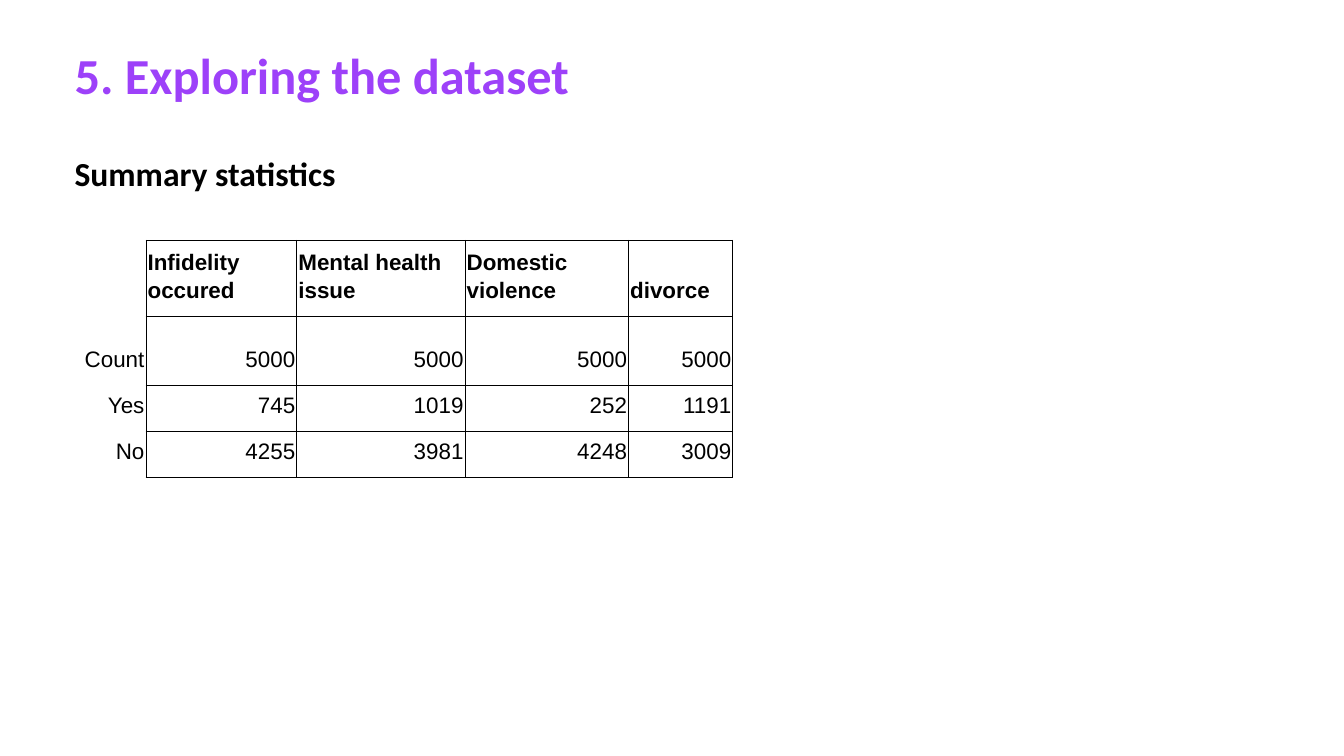
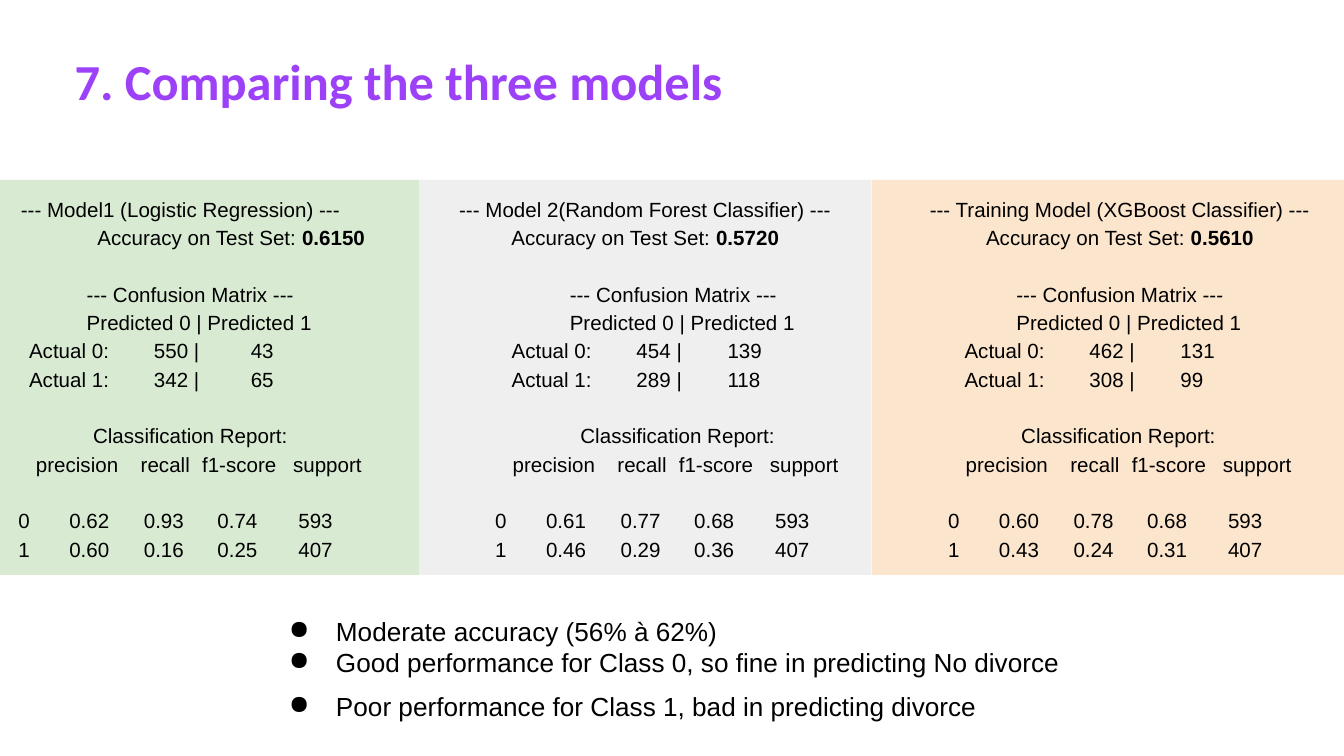
from lxml import etree
from pptx import Presentation
from pptx.dml.color import RGBColor
from pptx.enum.shapes import MSO_SHAPE
from pptx.enum.text import MSO_ANCHOR, PP_ALIGN
from pptx.oxml.ns import qn
from pptx.util import Cm, Pt

LEFT, CENTER, RIGHT = PP_ALIGN.LEFT, PP_ALIGN.CENTER, PP_ALIGN.RIGHT
TOP, BOTTOM = MSO_ANCHOR.TOP, MSO_ANCHOR.BOTTOM
RECT = MSO_SHAPE.RECTANGLE
COLORS = {"title": "9D41F9", "text": "000000", "green": "D9EAD3",
          "grey": "EFEFEF", "orange": "FCE5CD"}


def write(tf, text, size=11, font="Arial", color="text", bold=False, bold_tail="",
          align=LEFT, spacing=1.0, before=0, indent=0, bullet=None, tabs=()):
    p = tf.paragraphs[0]
    if p.runs:
        p = tf.add_paragraph()
    p.alignment = align
    p.line_spacing = spacing
    p.space_before = Pt(before)
    pPr = p._p.get_or_add_pPr()
    if indent:
        pPr.set("marL", str(Cm(indent)))
    if bullet:
        pPr.set("indent", str(Cm(-0.89)))
        clr = etree.SubElement(pPr, qn("a:buClr"))
        etree.SubElement(clr, qn("a:srgbClr"), val=COLORS[color])
        etree.SubElement(pPr, qn("a:buChar"), char=bullet)
    if tabs:
        tab_list = etree.SubElement(pPr, qn("a:tabLst"))
        for pos in tabs:
            etree.SubElement(tab_list, qn("a:tab"), pos=str(Cm(pos)), algn="l")
    for part, heavy in ((text, bold), (bold_tail, True)):
        if part:
            r = p.add_run()
            r.text = part
            r.font.size = Pt(size)
            r.font.name = font
            r.font.bold = heavy
            r.font.color.rgb = RGBColor.from_string(COLORS[color])


def frame(sp, side, top):
    tf = sp.text_frame
    tf.word_wrap = True
    tf.vertical_anchor = TOP
    tf.margin_left = tf.margin_right = Cm(side)
    tf.margin_top = tf.margin_bottom = Cm(top)
    return tf


prs = Presentation()
prs.slide_width, prs.slide_height = Cm(25.4), Cm(14.29)

slides = []
for title, top, width, height in (
    ("5. Exploring the dataset", 0.97, 11.6, 1.65),
    ("7. Comparing the three models", 1.07, 16.92, 1.9),
):
    s = prs.slides.add_slide(prs.slide_layouts[6])
    sp = s.shapes.add_textbox(Cm(1.22), Cm(top), Cm(width), Cm(height))
    write(frame(sp, 0.19, 0), title, size=27, font="Calibri", color="title",
          bold=True, spacing=0.9)
    slides.append(s)
summary, comparison = slides

sp = summary.shapes.add_textbox(Cm(1.22), Cm(2.8), Cm(7.44), Cm(0.97))
write(frame(sp, 0.19, 0.1), "Summary statistics", size=18, font="Calibri", bold=True)

rows = [
    ("", "Infidelity occured", "Mental health issue", "Domestic violence", "divorce"),
    ("Count", "5000", "5000", "5000", "5000"),
    ("Yes", "745", "1019", "252", "1191"),
    ("No", "4255", "3981", "4248", "3009"),
]
col_widths = (1.32, 2.85, 3.18, 3.09, 1.97)
row_heights = (1, 1.3, 0.79, 0.79)
table = summary.shapes.add_table(4, 5, Cm(1.44), Cm(4.54), Cm(sum(col_widths)),
                                 Cm(sum(row_heights))).table
table.first_row = table.horz_banding = False
for col, width in zip(table.columns, col_widths):
    col.width = Cm(width)
for row, height in zip(table.rows, row_heights):
    row.height = Cm(height)
for i, row in enumerate(rows):
    for j, text in enumerate(row):
        cell = table.cell(i, j)
        cell.vertical_anchor = BOTTOM
        cell.margin_left = cell.margin_right = cell.margin_top = Cm(0.03)
        cell.margin_bottom = Cm(0.25)
        tcPr = cell._tc.get_or_add_tcPr()
        for side in ("lnL", "lnR", "lnT", "lnB"):
            ln = etree.SubElement(tcPr, qn(f"a:{side}"), w=str(Pt(0.5)))
            if j or side == "lnR":
                fill = etree.SubElement(ln, qn("a:solidFill"))
                etree.SubElement(fill, qn("a:srgbClr"), val=COLORS["text"])
            else:
                etree.SubElement(ln, qn("a:noFill"))
        cell.fill.background()
        if text:
            write(cell.text_frame, text, size=12, bold=i == 0,
                  align=RIGHT if i else LEFT, spacing=1.15)

LINE = 15.2
HEAD_TABS = (1.52, 3.5, 4.66, 6.38)
SCORE_TABS = (1.19, 2.15, 3.56, 4.95, 6.48)
models = [
    dict(left=7.92, width=8.55, fill="grey", accuracy="0.5720", accuracy_indent=0,
         name="--- Model 2(Random Forest Classifier) ---",
         matrix_tab=2.6, report_tab=2.8, count_tabs=(1.5, 3.86, 5.58),
         counts=((454, 139), (289, 118)),
         scores=(("0.61", "0.77", "0.68"), ("0.46", "0.29", "0.36"))),
    dict(left=-1.09, width=9.01, fill="green", accuracy="0.6150", accuracy_indent=1.91,
         name="--- Model1 (Logistic Regression) ---",
         matrix_tab=2.48, report_tab=2.6, count_tabs=(1.39, 3.75, 5.58),
         counts=((550, 43), (342, 65)),
         scores=(("0.62", "0.93", "0.74"), ("0.60", "0.16", "0.25"))),
    dict(left=16.48, width=9.37, fill="orange", accuracy="0.5610", accuracy_indent=0,
         name="--- Training Model (XGBoost Classifier) ---",
         matrix_tab=2.48, report_tab=2.57, count_tabs=(1.5, 3.86, 5.58),
         counts=((462, 131), (308, 99)),
         scores=(("0.60", "0.78", "0.68"), ("0.43", "0.24", "0.31"))),
]
for m in models:
    sp = comparison.shapes.add_shape(RECT, Cm(m["left"]), Cm(3.4), Cm(m["width"]), Cm(7.47))
    sp.shadow.inherit = False
    sp.fill.solid()
    sp.fill.fore_color.rgb = RGBColor.from_string(COLORS[m["fill"]])
    sp.line.fill.background()
    tf = frame(sp, 0.25, 0.25)
    write(tf, m["name"], align=CENTER, spacing=1.15)
    write(tf, "Accuracy on Test Set: ", bold_tail=m["accuracy"], align=CENTER,
          spacing=1.15, indent=m["accuracy_indent"])
    lines = [("\t--- Confusion Matrix ---", (m["matrix_tab"],), LINE),
             ("\tPredicted 0 | Predicted 1", (m["matrix_tab"],), 0)]
    for k, (no, yes) in enumerate(m["counts"]):
        lines.append((f"\tActual {k}:\t{no} |\t{yes}", m["count_tabs"], 0))
    lines.append(("\tClassification Report:", (m["report_tab"],), LINE))
    lines.append(("\tprecision\trecall\tf1-score\tsupport", HEAD_TABS, 0))
    for k, (scores, support) in enumerate(zip(m["scores"], ("593", "407"))):
        text = "\t" + "\t".join((str(k), *scores, support))
        lines.append((text, SCORE_TABS, 0 if k else LINE))
    for text, tabs, before in lines:
        write(tf, text, spacing=1.15, before=before, tabs=tabs)

sp = comparison.shapes.add_textbox(Cm(4.83), Cm(11.38), Cm(16.31), Cm(2.57))
tf = frame(sp, 0.25, 0.25)
for text, before in (
    ("Moderate accuracy (56% à 62%)", 0),
    ("Good performance for Class 0, so fine in predicting No divorce", 0),
    ("Poor performance for Class 1, bad in predicting divorce", 6.7),
):
    write(tf, text, size=14, before=before, indent=1.27, bullet="●")

prs.save("out.pptx")
